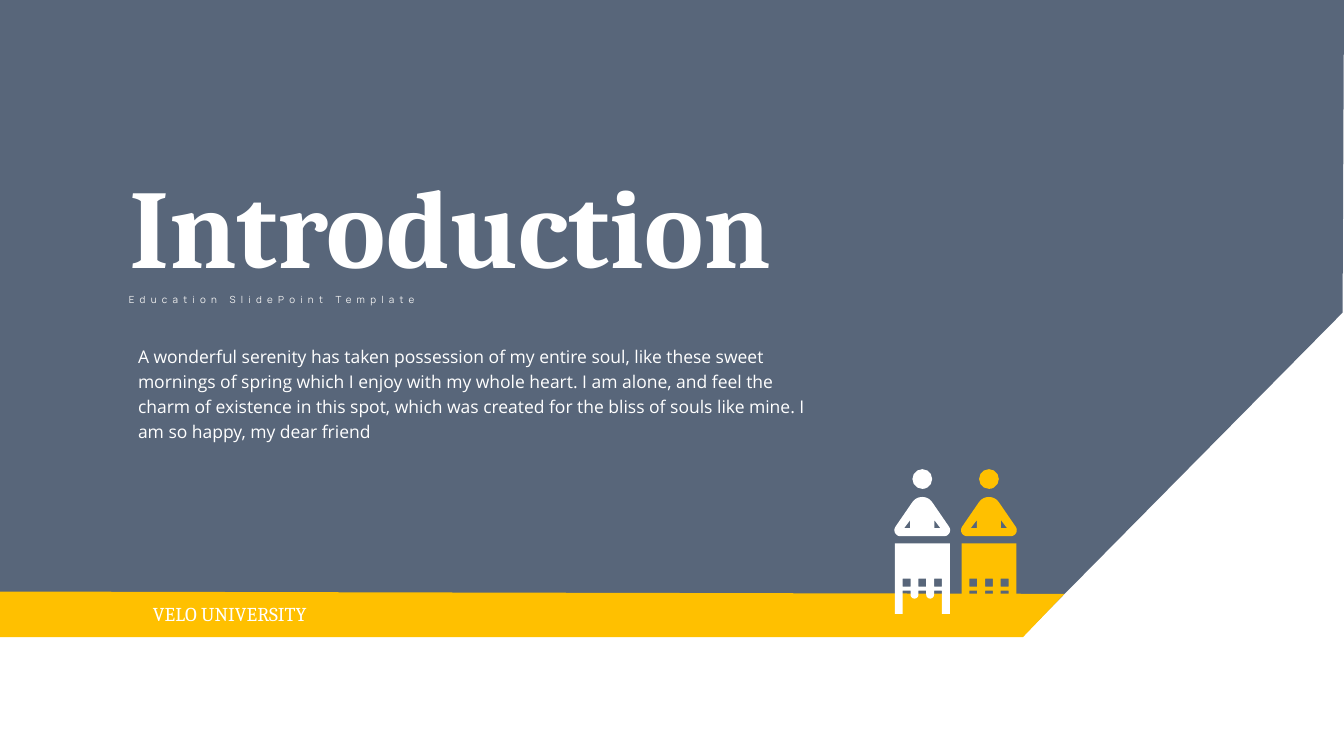
from math import cos, radians, sin

from pptx import Presentation
from pptx.dml import color
from pptx.enum import shapes, text
from pptx.oxml import ns
from pptx.util import Pt
from lxml import etree

SLATE = color.RGBColor(0x44, 0x54, 0x6A)
GOLD = color.RGBColor(0xFF, 0xC0, 0x00)
WHITE = color.RGBColor(0xFF, 0xFF, 0xFF)
PALE = color.RGBColor(0xF2, 0xF2, 0xF2)

WIDTH, HEIGHT = 960, 540
BACKDROP = [(0, 0), (WIDTH, 0), (959, 223.3), (730, 455), (0, 454.5)]
BAND = [(0, 422.5), (760.3, 424.2), (730.8, 455), (0, 455)]

TEXTS = {
    "title": {
        "words": "Introduction", "place": (85, 118.8, 502.5, 87.2),
        "font": {"name": "Cambria", "size": Pt(80), "bold": True}, "color": WHITE,
        "layout": {"line_spacing": 0.9, "space_before": Pt(16)},
    },
    "body": {
        "words": "A wonderful serenity has taken possession of my entire soul, like these "
                 "sweet mornings of spring which I enjoy with my whole heart. I am alone, "
                 "and feel the charm of existence in this spot, which was created for the "
                 "bliss of souls like mine. I am so happy, my dear friend",
        "place": (91.4, 240.5, 502.5, 78.5),
        "font": {"name": "Open Sans", "size": Pt(12.5)}, "color": WHITE,
        "layout": {"line_spacing": 1.2, "space_before": Pt(0)},
    },
    "tagline": {
        "words": "Education SlidePoint Template", "place": (85, 206, 293, 15.8),
        "font": {"name": "Manrope", "size": Pt(7)}, "color": PALE,
        "layout": {}, "tracking": 380,
    },
    "university": {
        "words": "VELO UNIVERSITY", "place": (102.2, 426.2, 481, 24.5),
        "font": {"name": "Cambria", "size": Pt(14)}, "color": WHITE, "layout": {},
    },
}

STUDENTS = [(658.8, WHITE), (706.4, GOLD)]
HEAD_TOP, HEAD_SIZE = 335.1, 14.1
COLUMN = 5.6
DESK_TOP, HOLE_TOP, HOLE_BOTTOM, RAIL, KNEE, FLOOR = 388.1, 413.3, 419, 421.9, 424.8, 438.5


def arc(x, y, radius, start, end):
    """Return points along an arc, with angles in degrees."""
    steps = 12
    angles = [radians(start + (end - start) * step / steps) for step in range(steps + 1)]
    return [(x + radius * cos(angle), y + radius * sin(angle)) for angle in angles]


def torso(center):
    """Return the rounded shoulders and arms with two elbow gaps."""
    outline = (arc(center, 363.6, 8.6, 214, 326)
               + arc(center + 15.6, 378.7, 4.3, 326, 450)
               + arc(center - 15.6, 378.7, 4.3, 90, 214))
    gaps = [[(center + side * 13, 377.3), (center + side * 8.6, 371.5),
             (center + side * 8.6, 377.3)] for side in (-1, 1)]
    return [outline] + gaps


def desk(center):
    """Return a seven-column desk with three holes and two hanging legs."""
    edges = [center - 3.5 * COLUMN + COLUMN * column for column in range(8)]
    outline = [(edges[0], DESK_TOP), (edges[0], FLOOR), (edges[1], FLOOR), (edges[1], RAIL)]
    for column in (2, 4):
        outline.append((edges[column], RAIL))
        outline += arc(edges[column] + COLUMN / 2, KNEE, COLUMN / 2, 180, 0)
        outline.append((edges[column + 1], RAIL))
    outline += [(edges[6], RAIL), (edges[6], FLOOR), (edges[7], FLOOR), (edges[7], DESK_TOP)]
    holes = [[(edges[column], HOLE_BOTTOM), (edges[column], HOLE_TOP),
              (edges[column + 1], HOLE_TOP), (edges[column + 1], HOLE_BOTTOM)]
             for column in (1, 3, 5)]
    return [outline] + holes


def paint(shape, fill):
    """Give a shape a plain fill without line or shadow."""
    shape.shadow.inherit = False
    shape.fill.solid()
    shape.fill.fore_color.rgb = fill
    shape.line.fill.background()
    return shape


def draw(page, contours, fill):
    """Draw closed contours as one freeform."""
    contours = [[(Pt(x), Pt(y)) for x, y in contour] for contour in contours]
    builder = page.shapes.build_freeform(*contours[0][0])
    builder.add_line_segments(contours[0][1:])
    for contour in contours[1:]:
        builder.move_to(*contour[0])
        builder.add_line_segments(contour[1:])
    return paint(builder.convert_to_shape(), fill)


def write(box, content):
    """Place and format one text box or placeholder."""
    for name, value in zip(("left", "top", "width", "height"), content["place"]):
        setattr(box, name, Pt(value))
    frame = box.text_frame
    frame_format = {"word_wrap": True, "auto_size": text.MSO_AUTO_SIZE.NONE,
                    "vertical_anchor": text.MSO_ANCHOR.TOP}
    for name, value in frame_format.items():
        setattr(frame, name, value)
    para = frame.paragraphs[0]
    para.alignment = text.PP_ALIGN.LEFT
    for name, value in content["layout"].items():
        setattr(para, name, value)
    span = para.add_run()
    span.text = content["words"]
    for name, value in content["font"].items():
        setattr(span.font, name, value)
    span.font.color.rgb = content["color"]
    if "tracking" in content:
        span.font._element.set("spc", str(content["tracking"]))


def main():
    """Build and save the introduction slide."""
    deck = Presentation()
    deck.slide_width, deck.slide_height = Pt(WIDTH), Pt(HEIGHT)
    page = deck.slides.add_slide(deck.slide_layouts[0])
    backdrop = draw(page, [BACKDROP], SLATE)
    tint = backdrop.fill._xPr.find(".//" + ns.qn("a:srgbClr"))
    etree.SubElement(tint, ns.qn("a:alpha"), val="89000")
    band = draw(page, [BAND], GOLD)
    for depth, shape in enumerate((backdrop, band)):
        page.shapes._spTree.insert(2 + depth, shape._element)
    for center, fill in STUDENTS:
        draw(page, desk(center), fill)
        paint(page.shapes.add_shape(
            shapes.MSO_SHAPE.OVAL, Pt(center - HEAD_SIZE / 2), Pt(HEAD_TOP),
            Pt(HEAD_SIZE), Pt(HEAD_SIZE)), fill)
        draw(page, torso(center), fill)
    write(page.shapes.title, TEXTS["title"])
    write(page.placeholders[1], TEXTS["body"])
    for name in ("tagline", "university"):
        place = [Pt(value) for value in TEXTS[name]["place"]]
        write(page.shapes.add_textbox(*place), TEXTS[name])
    deck.save("out.pptx")


main()
